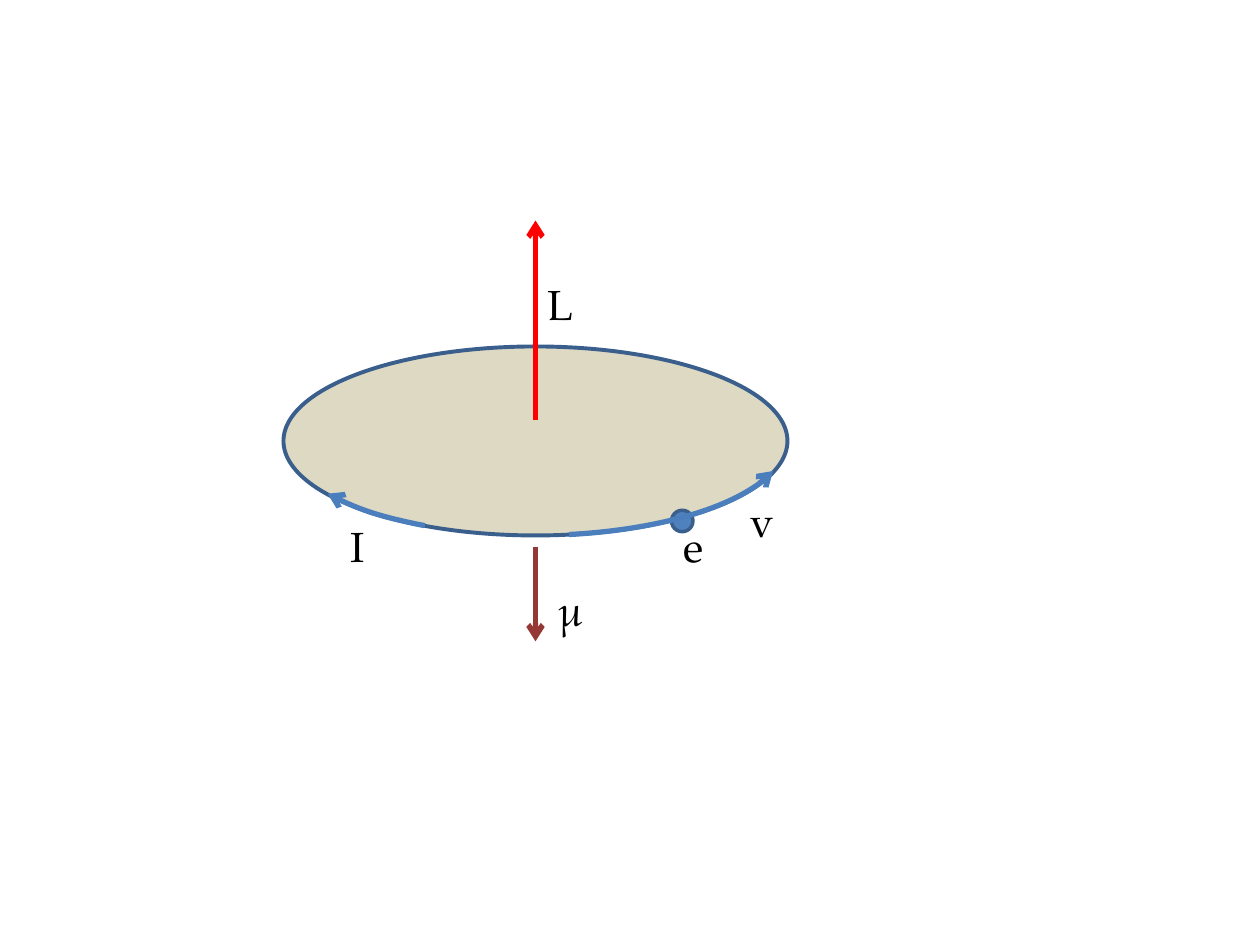
from lxml import etree
from pptx import Presentation
from pptx.dml.color import RGBColor
from pptx.enum.shapes import MSO_CONNECTOR, MSO_SHAPE
from pptx.enum.text import MSO_AUTO_SIZE
from pptx.oxml.ns import qn
from pptx.util import Inches, Pt

SAND = RGBColor(0xDD, 0xD9, 0xC3)
BLUE = RGBColor(0x4F, 0x81, 0xBD)
ARC_BLUE = RGBColor(0x4B, 0x7E, 0xBC)
OUTLINE = RGBColor(0x3A, 0x5F, 0x8C)
RED = RGBColor(0xFF, 0x00, 0x00)
DARK_RED = RGBColor(0x95, 0x37, 0x35)
BLACK = RGBColor(0x00, 0x00, 0x00)
FONT = "TeX Gyre Pagella"

# Content: positions in inches, angles in degrees clockwise from the right
ORBIT_TOP, ORBIT_WIDTH, ORBIT_HEIGHT = 2.75, 4, 1.5
ORBIT_LEFT, AXIS_X = 2.25, 4.25
ELECTRON_LEFT, ELECTRON_TOP, ELECTRON_SIZE = 5.33, 4.05, 0.17
ARCS = [  # left, start angle, end angle, arrowhead end
    (2.24, 7.18, 69.57, "headEnd"),  # velocity
    (2.26, 142.83, 165.82, "tailEnd"),  # current
]
VECTORS = [  # start y, end y, colour
    (3.33, 1.75, RED),  # angular momentum
    (4.34, 5.09, DARK_RED),  # magnetic moment
]
LABELS = [  # text, left, top, width
    ("I", 2.68, 4.08, 0.32),
    ("e", 5.33, 4.08, 0.36),
    ("L", 4.25, 2.16, 0.41),
    ("μ", 4.33, 4.59, 0.40),
    ("v", 5.86, 3.88, 0.39),
]
LABEL_HEIGHT = 0.5


def style_line(shape, colour, width, arrow_end=None):
    shape.line.color.rgb = colour
    shape.line.width = Pt(width)
    if arrow_end:
        line = shape.line._get_or_add_ln()
        etree.SubElement(line, qn(f"a:{arrow_end}"), type="arrow")


def add_outline_shape(slide, kind, left, top, width, height, fill=None):
    shape = slide.shapes.add_shape(
        kind, Inches(left), Inches(top), Inches(width), Inches(height))
    shape.shadow.inherit = False
    if fill is None:
        shape.fill.background()
    else:
        shape.fill.solid()
        shape.fill.fore_color.rgb = fill
    return shape


def add_arc(slide, left, start, end, arrow_end):
    arc = add_outline_shape(
        slide, MSO_SHAPE.ARC, left, ORBIT_TOP, ORBIT_WIDTH, ORBIT_HEIGHT)
    # Adjustments count 100000 units, angles 60000 units to the degree
    for index, angle in enumerate((start, end)):
        arc.adjustments[index] = angle * 0.6
    style_line(arc, ARC_BLUE, 3, arrow_end)


def add_vector(slide, start, end, colour):
    vector = slide.shapes.add_connector(
        MSO_CONNECTOR.STRAIGHT,
        Inches(AXIS_X), Inches(start), Inches(AXIS_X), Inches(end))
    style_line(vector, colour, 3, "tailEnd")
    etree.SubElement(vector._element.spPr, qn("a:effectLst"))


def add_label(slide, text, left, top, width):
    box = slide.shapes.add_textbox(
        Inches(left), Inches(top), Inches(width), Inches(LABEL_HEIGHT))
    frame = box.text_frame
    frame.word_wrap = False
    frame.auto_size = MSO_AUTO_SIZE.SHAPE_TO_FIT_TEXT
    span = frame.paragraphs[0].add_run()
    span.text = text
    span.font.name = FONT
    span.font.size = Pt(24)
    span.font.color.rgb = BLACK


def main():
    deck = Presentation()
    deck.slide_width, deck.slide_height = Inches(10), Inches(7.5)
    slide = deck.slides.add_slide(deck.slide_layouts[6])

    # Orbit and electron
    orbit = add_outline_shape(slide, MSO_SHAPE.OVAL, ORBIT_LEFT, ORBIT_TOP,
                              ORBIT_WIDTH, ORBIT_HEIGHT, SAND)
    style_line(orbit, OUTLINE, 2.25)
    electron = add_outline_shape(slide, MSO_SHAPE.OVAL, ELECTRON_LEFT, ELECTRON_TOP,
                                 ELECTRON_SIZE, ELECTRON_SIZE, BLUE)
    style_line(electron, OUTLINE, 2)

    # Directions, vectors and their labels
    for arc in ARCS:
        add_arc(slide, *arc)
    for vector in VECTORS:
        add_vector(slide, *vector)
    for label in LABELS:
        add_label(slide, *label)

    deck.save("out.pptx")


if __name__ == "__main__":
    main()
